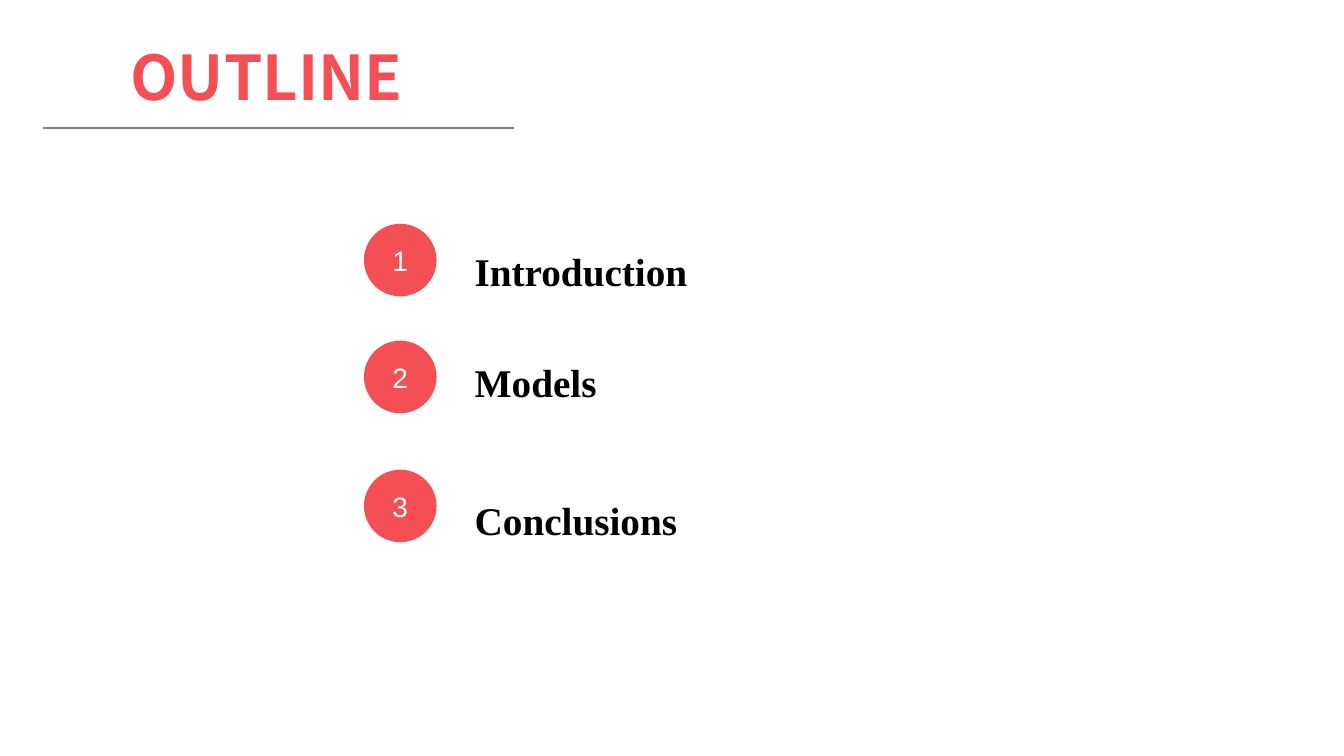
"""Build the outline slide with three numbered topics."""
from dataclasses import dataclass

from lxml import etree
from pptx import Presentation
from pptx.dml.color import RGBColor
from pptx.enum.shapes import MSO_CONNECTOR, MSO_SHAPE
from pptx.enum.text import MSO_ANCHOR, PP_ALIGN
from pptx.oxml.ns import qn
from pptx.shapes.shapetree import SlideShapes
from pptx.text.text import TextFrame
from pptx.util import Emu, Pt

OVAL = MSO_SHAPE.OVAL
LINE = MSO_CONNECTOR.STRAIGHT
MIDDLE = MSO_ANCHOR.MIDDLE
LEFT, CENTER = PP_ALIGN.LEFT, PP_ALIGN.CENTER
SCALE = 9144


@dataclass(frozen=True)
class Style:
    face: str
    size: int
    color: RGBColor
    bold: bool = False
    align: PP_ALIGN = CENTER
    space: float = 1.0


@dataclass(frozen=True)
class Theme:
    red: RGBColor = RGBColor(0xF4, 0x4F, 0x54)
    gray: RGBColor = RGBColor(0x80, 0x80, 0x80)
    rule: float = 1.5
    title: Style = Style("Noto Sans CJK SC", 44, red, True)
    badge: Style = Style("Arial", 20, RGBColor(255, 255, 255))
    topic: Style = Style("Times New Roman", 28, RGBColor(0, 0, 0), True, LEFT, 1.3)


@dataclass(frozen=True)
class Topic:
    name: str
    dot_top: int
    top: int
    width: int


THEME = Theme()
DOT = 72
DOT_LEFT = 361
TOPIC_LEFT = 461
TOPICS = (
    Topic("Introduction", 222, 226, 356),
    Topic("Models", 338, 337, 471),
    Topic("Conclusions", 466, 473, 551),
)


def px(num: int) -> Emu:
    """Turn px into EMU."""
    return Emu(num * SCALE)


def write(frame: TextFrame, text: str, style: Style) -> None:
    """Fill a frame with one styled paragraph."""
    frame.word_wrap = True
    para = frame.paragraphs[0]
    para.text = text
    para.alignment = style.align
    para.line_spacing = style.space
    font = para.font
    font.name, font.size, font.bold = style.face, Pt(style.size), style.bold
    font.color.rgb = style.color


def label(shapes: SlideShapes, text: str, style: Style,
          left: int, top: int, width: int, height: int) -> None:
    """Add a text box."""
    box = shapes.add_textbox(px(left), px(top), px(width), px(height))
    write(box.text_frame, text, style)


def badge(shapes: SlideShapes, num: int, top: int) -> None:
    """Add a numbered dot."""
    dot = shapes.add_shape(OVAL, px(DOT_LEFT), px(top), px(DOT), px(DOT))
    dot.shadow.inherit = False
    dot.fill.solid()
    dot.fill.fore_color.rgb = THEME.red
    dot.line.fill.background()
    dot.text_frame.vertical_anchor = MIDDLE
    write(dot.text_frame, str(num), THEME.badge)


def rule(shapes: SlideShapes, left: int, right: int, top: int) -> None:
    """Add a level line."""
    line = shapes.add_connector(LINE, px(left), px(top), px(right), px(top))
    line.line.color.rgb = THEME.gray
    line.line.width = Pt(THEME.rule)
    etree.SubElement(line._element.spPr, qn("a:effectLst"))


def main() -> None:
    """Build and save the slide."""
    deck = Presentation()
    deck.slide_width, deck.slide_height = px(1333), px(750)
    shapes = deck.slides.add_slide(deck.slide_layouts[6]).shapes
    label(shapes, "OUTLINE", THEME.title, -71, 34, 671, 84)
    rule(shapes, 43, 510, 127)
    for num, topic in enumerate(TOPICS, 1):
        badge(shapes, num, topic.dot_top)
        label(shapes, topic.name, THEME.topic,
              TOPIC_LEFT, topic.top, topic.width, 65)
    deck.save("out.pptx")


if __name__ == "__main__":
    main()
